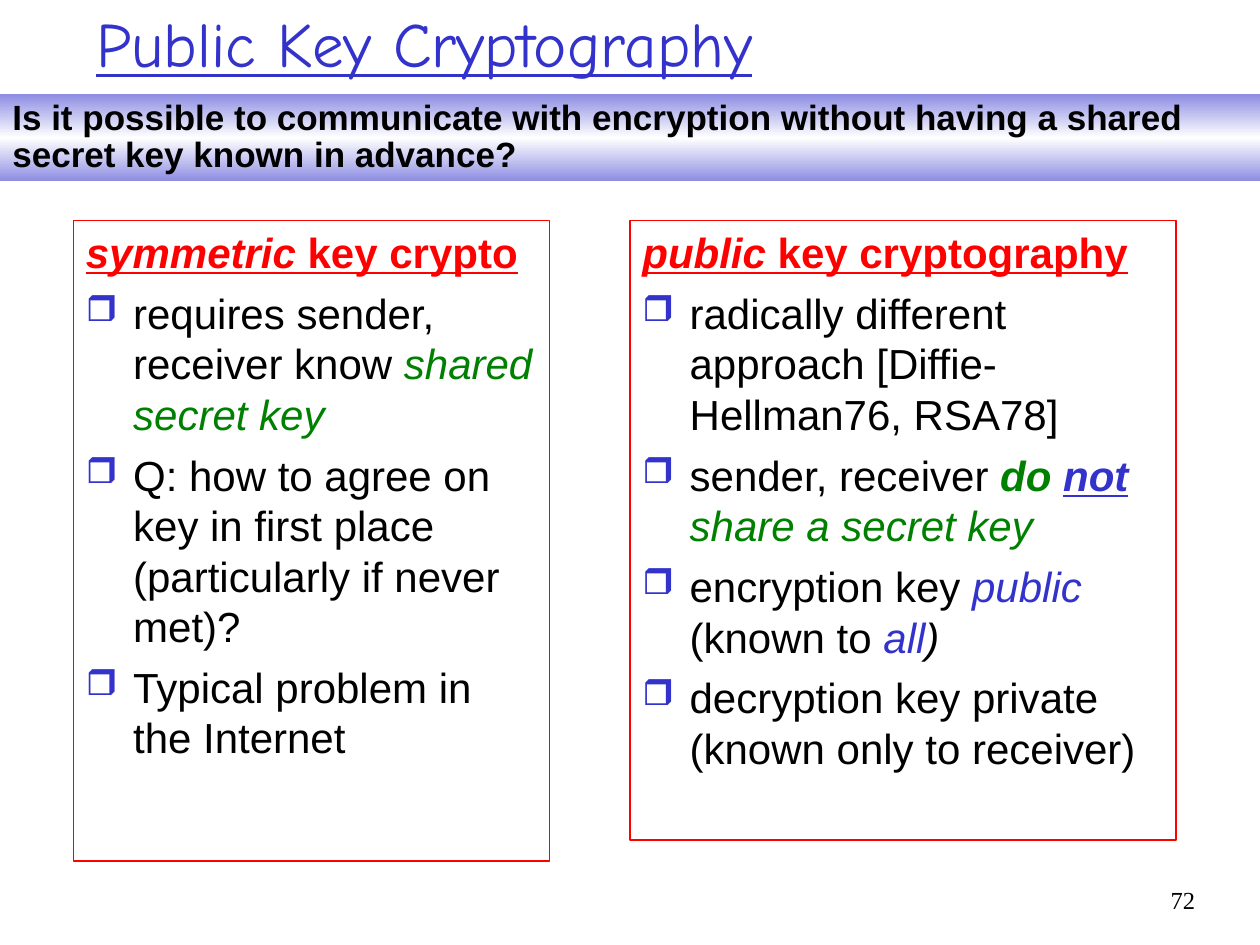
from copy import deepcopy

from lxml import etree
from pptx import Presentation
from pptx.dml.color import RGBColor
from pptx.enum.shapes import MSO_SHAPE
from pptx.enum.text import MSO_ANCHOR, PP_ALIGN
from pptx.oxml.ns import qn
from pptx.util import Pt

RECTANGLE = MSO_SHAPE.RECTANGLE
ROUNDED = MSO_SHAPE.ROUNDED_RECTANGLE
TOP, MIDDLE = MSO_ANCHOR.TOP, MSO_ANCHOR.MIDDLE
LEFT, RIGHT = PP_ALIGN.LEFT, PP_ALIGN.RIGHT

COLORS = {
    "black": "000000",
    "blue": "3333CC",
    "green": "008000",
    "red": "FF0000",
    "white": "FFFFFF",
    "lavender": "8D8DE3",
}
INDENT = 27

PLAIN = {}
HEADING = {"color": "red", "bold": True, "underline": True}
HEADING_ITALIC = {**HEADING, "italic": True}
GREEN = {"color": "green", "italic": True}
GREEN_BOLD = {**GREEN, "bold": True}
BLUE = {"color": "blue", "italic": True}
BLUE_STRONG = {**BLUE, "bold": True, "underline": True}
ITALIC = {"italic": True}

SYMMETRIC = [
    [("symmetric", HEADING_ITALIC), (" key crypto", HEADING)],
    [("requires sender, receiver know ", PLAIN), ("shared secret key", GREEN)],
    [("Q: how to agree on key in first place (particularly if never met)?", PLAIN)],
    [("Typical problem in the Internet", PLAIN)],
]
PUBLIC = [
    [("public", HEADING_ITALIC), (" key cryptography", HEADING)],
    [("radically different approach [Diffie-Hellman76, RSA78]", PLAIN)],
    [("sender, receiver ", PLAIN), ("do ", GREEN_BOLD), ("not", BLUE_STRONG),
     (" ", PLAIN), ("share a secret key", GREEN)],
    [("encryption key ", PLAIN), ("public ", BLUE), ("(known to", PLAIN),
     (" all", BLUE), (")", ITALIC)],
    [("decryption key private (known only to receiver)", PLAIN)],
]


def rgb(name):
    return RGBColor.from_string(COLORS[name])


def add_span(para, text, size, font="Arial", color="black", bold=False,
             italic=False, underline=False):
    span = para.add_run()
    span.text = text
    span.font.name = font
    span.font.size = Pt(size)
    span.font.color.rgb = rgb(color)
    span.font.bold = bold
    span.font.italic = italic
    span.font.underline = underline


def prepare_frame(box, anchor=TOP):
    frame = box.text_frame
    frame.word_wrap = True
    frame.vertical_anchor = anchor
    frame.paragraphs[0].alignment = LEFT
    return frame


def add_label(page, area, text, size, anchor=TOP, align=LEFT, spacing=None, **style):
    box = page.shapes.add_textbox(*map(Pt, area))
    para = prepare_frame(box, anchor).paragraphs[0]
    para.alignment = align
    para.line_spacing = spacing
    add_span(para, text, size, **style)


def add_bullet(para):
    props = para._p.get_or_add_pPr()
    props.set("marL", str(Pt(INDENT)))
    props.set("indent", str(-Pt(INDENT)))
    color = etree.SubElement(props, qn("a:buClr"))
    etree.SubElement(color, qn("a:srgbClr"), val=COLORS["blue"])
    etree.SubElement(props, qn("a:buSzPct"), val="85000")
    etree.SubElement(props, qn("a:buChar"), char="❒")


def add_panel(page, area, lines):
    box = page.shapes.add_shape(RECTANGLE, *map(Pt, area))
    box.shadow.inherit = False
    box.fill.background()
    box.line.color.rgb = rgb("red")
    box.line.width = Pt(0.75)
    frame = prepare_frame(box)
    for index, spans in enumerate(lines):
        para = frame.add_paragraph() if index else frame.paragraphs[0]
        para.alignment = LEFT
        if index:
            para.space_before = Pt(6)
            add_bullet(para)
        for text, style in spans:
            add_span(para, text, 24, **style)


def add_band(page, area, text):
    box = page.shapes.add_shape(ROUNDED, *map(Pt, area))
    box.adjustments[0] = 0
    box.shadow.inherit = False
    box.line.fill.background()
    box.fill.gradient()
    box.fill.gradient_angle = 90
    stops = box._element.spPr.find(qn("a:gradFill")).find(qn("a:gsLst"))
    stops.insert(1, deepcopy(stops[0]))
    names = ("lavender", "white", "lavender")
    for stop, name, position in zip(box.fill.gradient_stops, names, (0, 0.5, 1)):
        stop.color.rgb = rgb(name)
        stop.position = position
    para = prepare_frame(box).paragraphs[0]
    para.line_spacing = 0.88
    add_span(para, text, 20, bold=True)


def main():
    deck = Presentation()
    deck.slide_width, deck.slide_height = Pt(720), Pt(540)
    page = deck.slides.add_slide(deck.slide_layouts[6])
    add_label(page, (654, 504, 36, 22), "72", 14, align=RIGHT, spacing=0.92,
              font="Times New Roman")
    add_label(page, (48, 0, 612, 48), "Public Key Cryptography", 36, anchor=MIDDLE,
              font="Comic Neue", color="blue", underline=True)
    add_panel(page, (42, 126, 272, 366), SYMMETRIC)
    add_panel(page, (360, 126, 312, 354), PUBLIC)
    add_band(page, (0, 54, 720, 49.5),
             "Is it possible to communicate with encryption without having "
             "a shared secret key known in advance?")
    deck.save("out.pptx")


if __name__ == "__main__":
    main()
